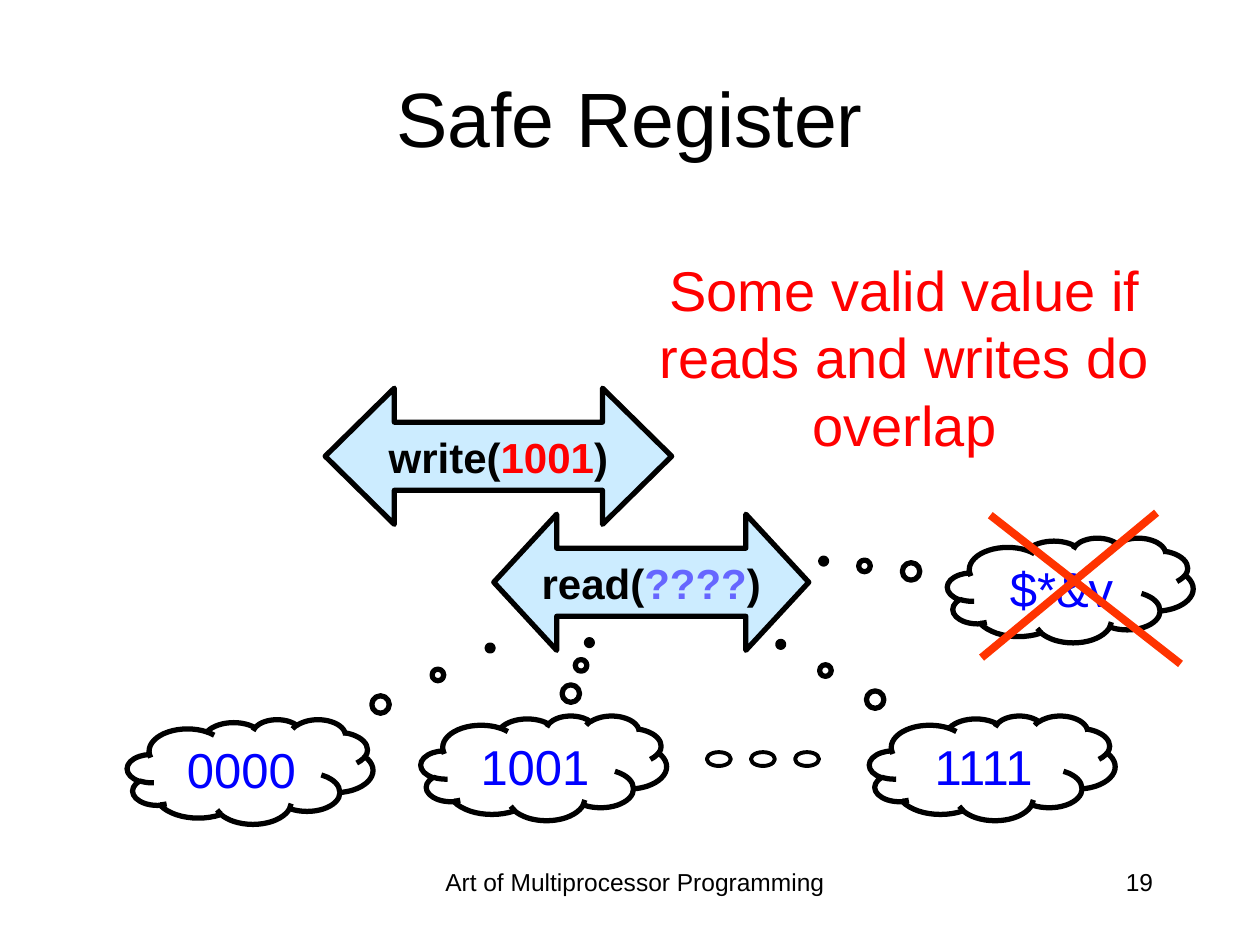
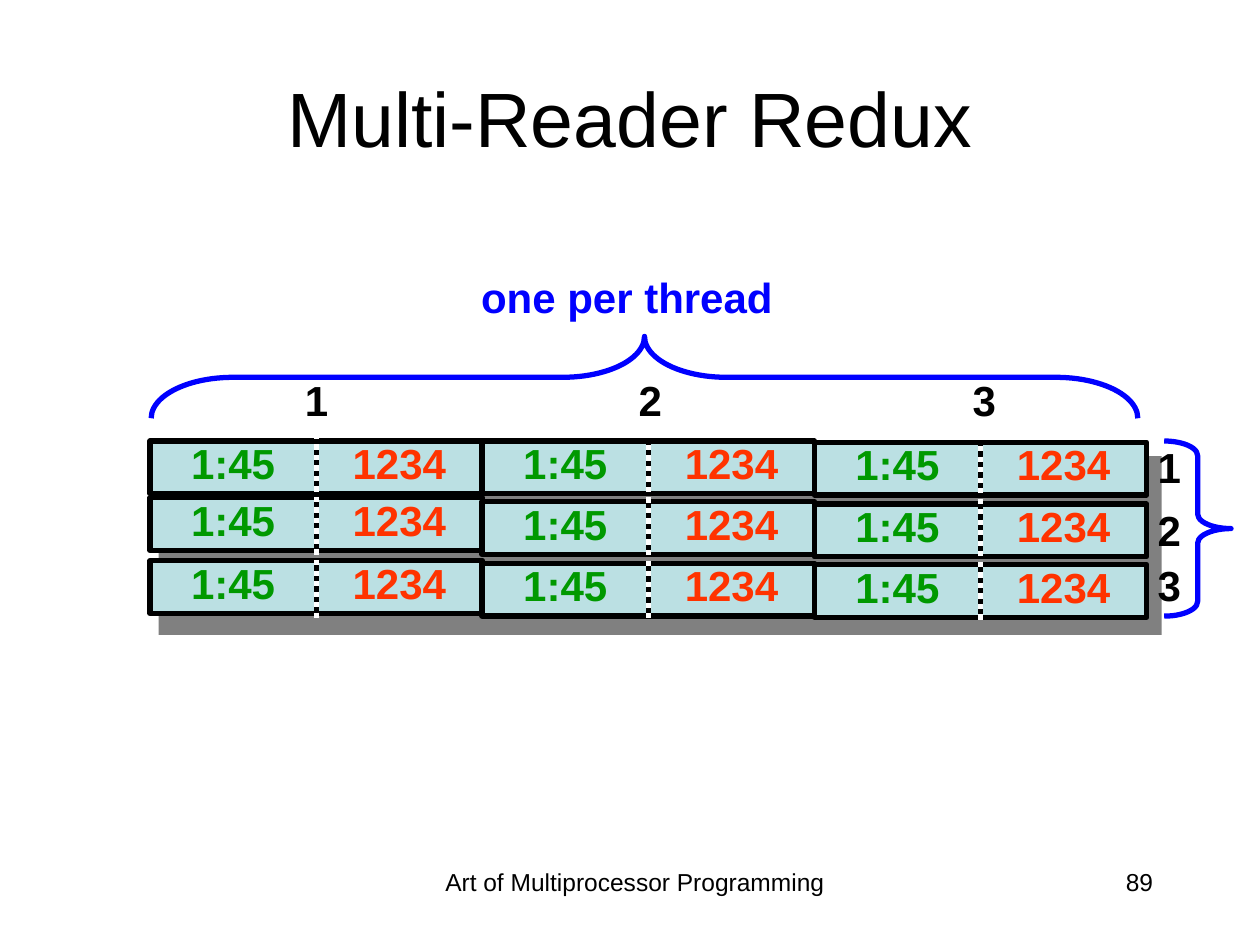
from collections import namedtuple

from lxml import etree
from pptx import Presentation
from pptx import util as u
from pptx.dml import color
from pptx.enum import dml, shapes, text
from pptx.oxml import ns

Box = namedtuple("Box", "x y w h")
FONT = "Arial"
BLACK, WHITE, GREY = "000000", "FFFFFF", "808080"
RED, BLUE, VIOLET = "FF0000", "0000FF", "6666FF"
GREEN, CROSS, SKY, TEAL = "009900", "FF3300", "CCECFF", "BBE0E3"
TITLE = Box(36, 21.6, 648, 90)
FOOT = Box(239.76, 491.76, 246.24, 37.44)
PAGE = Box(516.24, 491.76, 149.76, 36)
SHAPE = shapes.MSO_SHAPE
ALIGN = text.PP_ALIGN
ANCHOR = text.MSO_ANCHOR


def rgb(code):
    """Turn a hex string into a colour."""
    return color.RGBColor.from_string(code)


def pts(*sizes):
    """Turn numbers into lengths in points."""
    return [u.Pt(size) for size in sizes]


def inner(box, x, y, w, h):
    """Give a box whose corner is offset from another box."""
    return Box(box.x + x, box.y + y, w, h)


def put(part, words, size=24, hue=BLACK, bold=False, align=ALIGN.CENTER,
        anchor=ANCHOR.TOP, wrap=True, space=None):
    """Write words, or (words, hue) pairs, into a part."""
    frame = part.text_frame
    frame.word_wrap = wrap
    frame.vertical_anchor = anchor
    para = frame.paragraphs[0]
    para.alignment = align
    if space:
        para.line_spacing = space
    pairs = [(words, hue)] if isinstance(words, str) else words
    for word, tint in pairs:
        run = para.add_run()
        run.text = word
        run.font.name = FONT
        run.font.size = u.Pt(size)
        run.font.bold = bold
        run.font.color.rgb = rgb(tint)


def note(slide, box, words, **form):
    """Add a text box."""
    put(slide.shapes.add_textbox(*pts(*box)), words, **form)


def draw(slide, kind, box, fill=None, line=None, width=3, adjust=()):
    """Add a flat preset shape."""
    part = slide.shapes.add_shape(kind, *pts(*box))
    part.shadow.inherit = False
    if fill:
        part.fill.solid()
        part.fill.fore_color.rgb = rgb(fill)
    else:
        part.fill.background()
    if line:
        part.line.color.rgb = rgb(line)
        part.line.width = u.Pt(width)
    else:
        part.line.fill.background()
    for spot, value in enumerate(adjust):
        part.adjustments[spot] = value
    return part


def link(slide, box, start, end, hue, width, dash=None):
    """Draw a straight line between two points of a box."""
    ends = pts(box.x + start[0], box.y + start[1],
               box.x + end[0], box.y + end[1])
    part = slide.shapes.add_connector(shapes.MSO_CONNECTOR.STRAIGHT, *ends)
    part.line.color.rgb = rgb(hue)
    part.line.width = u.Pt(width)
    if dash:
        part.line.dash_style = dash
    etree.SubElement(part._element.spPr, ns.qn("a:effectLst"))


def base(deck, title, page):
    """Start a slide with its title, footer and page number."""
    slide = deck.slides.add_slide(deck.slide_layouts[5])
    head = slide.shapes.title
    head.left, head.top, head.width, head.height = pts(*TITLE)
    put(head, title, size=44, anchor=ANCHOR.MIDDLE)
    note(slide, FOOT, "Art of Multiprocessor Programming", size=14)
    note(slide, PAGE, page, size=14, align=ALIGN.RIGHT)
    return slide


def arrow(slide, box, call, value, hue, tip):
    """Draw one method call as a double arrow."""
    part = draw(slide, SHAPE.LEFT_RIGHT_ARROW, box, SKY, BLACK,
                adjust=(0.5, tip))
    put(part, [(call + "(", BLACK), (value, hue), (")", BLACK)],
        bold=True, anchor=ANCHOR.MIDDLE, wrap=False)


def cloud(slide, box, value, tail):
    """Draw one possible value as a thought cloud."""
    part = draw(slide, SHAPE.CLOUD_CALLOUT, box, WHITE, BLACK, adjust=tail)
    put(part, value, size=28, hue=BLUE, anchor=ANCHOR.MIDDLE)


def cross(slide, box):
    """Strike out a box."""
    link(slide, box, (19.5, 68.4), (119.5, -14.4), CROSS, 4.5)
    link(slide, box, (133.2, 72), (24.5, -13), CROSS, 4.5)


def dots(slide, box):
    """Draw three small rings in a row."""
    for spot in range(3):
        ring = inner(box, spot * 25.2, 0, 13.7, box.h)
        draw(slide, SHAPE.OVAL, ring, line=BLACK, width=2.25)


def safe(deck):
    """Build the safe register slide."""
    slide = base(deck, "Safe Register", "19")
    arrow(slide, Box(185.8, 221.8, 198, 77.8), "write", "1001", RED, 0.508)
    note(slide, Box(516.2 - 158.4, 142.6, 318.2, 123.8),
         "Some valid value if reads and writes do overlap",
         size=32, hue=RED)
    arrow(slide, Box(282.2, 293.8, 180, 77.8), "read", "????", VIOLET, 0.462)
    clouds = [
        ("0000", 72.7, 411.1, (0.977, -1.182)),
        ("1001", 240.5, 409, (0.186, -1.199)),
        ("1111", 496.8, 409, (-0.861, -1.182)),
        ("$*&v", 541.4, 307.4, (-1.004, -0.278)),
    ]
    for value, x, y, tail in clouds:
        box = Box(x, y, 140.4, 59.8)
        cloud(slide, box, value, tail)
    cross(slide, box)
    dots(slide, Box(403.9, 429.8, 64.1, 7.9))


def grid(slide, box):
    """Draw the stamped values, three columns of three pairs."""
    draw(slide, SHAPE.RECTANGLE, inner(box, 5, 8.6, 573.1, 102.2), GREY)
    wide, step = 95, 189.8
    drops = [(0, 32.4, 68.4), (0, 34.6, 69.8), (0.7, 36, 70.6)]
    for col, tops in enumerate(drops):
        for top in tops:
            pair = [("1:45", GREEN), ("1234", CROSS)]
            for side, (value, hue) in enumerate(pair):
                cell = inner(box, col * step + side * wide, top, wide, 30.2)
                part = draw(slide, SHAPE.RECTANGLE, cell, TEAL, BLACK)
                put(part, value, hue=hue, bold=True, space=0.8,
                    anchor=ANCHOR.MIDDLE)
    for col, top in enumerate((-10.1, 2.2, 2.9)):
        x = wide + col * step
        link(slide, box, (x, top), (x, box.h + 1.2), WHITE, 3,
             dml.MSO_LINE.ROUND_DOT)


def label(slide, box, words, wrap=False):
    """Write a bold label."""
    hue = BLUE if wrap else BLACK
    note(slide, box, words, hue=hue, bold=True, align=ALIGN.LEFT,
         wrap=wrap, space=0.8)


def count(slide, box):
    """Number the columns above and the rows beside the grid."""
    for spot, y in enumerate((2.2, 38.2, 69.8)):
        name = str(spot + 1)
        label(slide, inner(box, 81.4 + spot * 190.8, -36, 28.8, 30.2), name)
        label(slide, inner(box, 568.8, y, 28.8, 30.2), name)


def brace(slide, box, bend, turn=0):
    """Draw a brace that fills a box, turned upward if asked."""
    if turn:
        shift = (box.w - box.h) / 2
        box = inner(box, shift, -shift, box.h, box.w)
    part = draw(slide, SHAPE.RIGHT_BRACE, box, line=BLUE, adjust=(bend, 0.5))
    part.rotation = turn


def redux(deck):
    """Build the multi-reader slide."""
    slide = base(deck, "Multi-Reader Redux", "89")
    box = Box(85.7, 252, 569.6, 101)
    grid(slide, box)
    count(slide, box)
    label(slide, inner(box, 182.1, -95, 200.9, 30.2), "one per thread", True)
    brace(slide, inner(box, 579.6, 0, 38.2, 100.1), 0.219)
    brace(slide, inner(box, 0.7, -59.8, 563.8, 46.8), 1, 270)


def main():
    """Build and save the deck."""
    deck = Presentation()
    deck.slide_width, deck.slide_height = pts(720, 540)
    safe(deck)
    redux(deck)
    deck.save("out.pptx")


if __name__ == "__main__":
    main()
